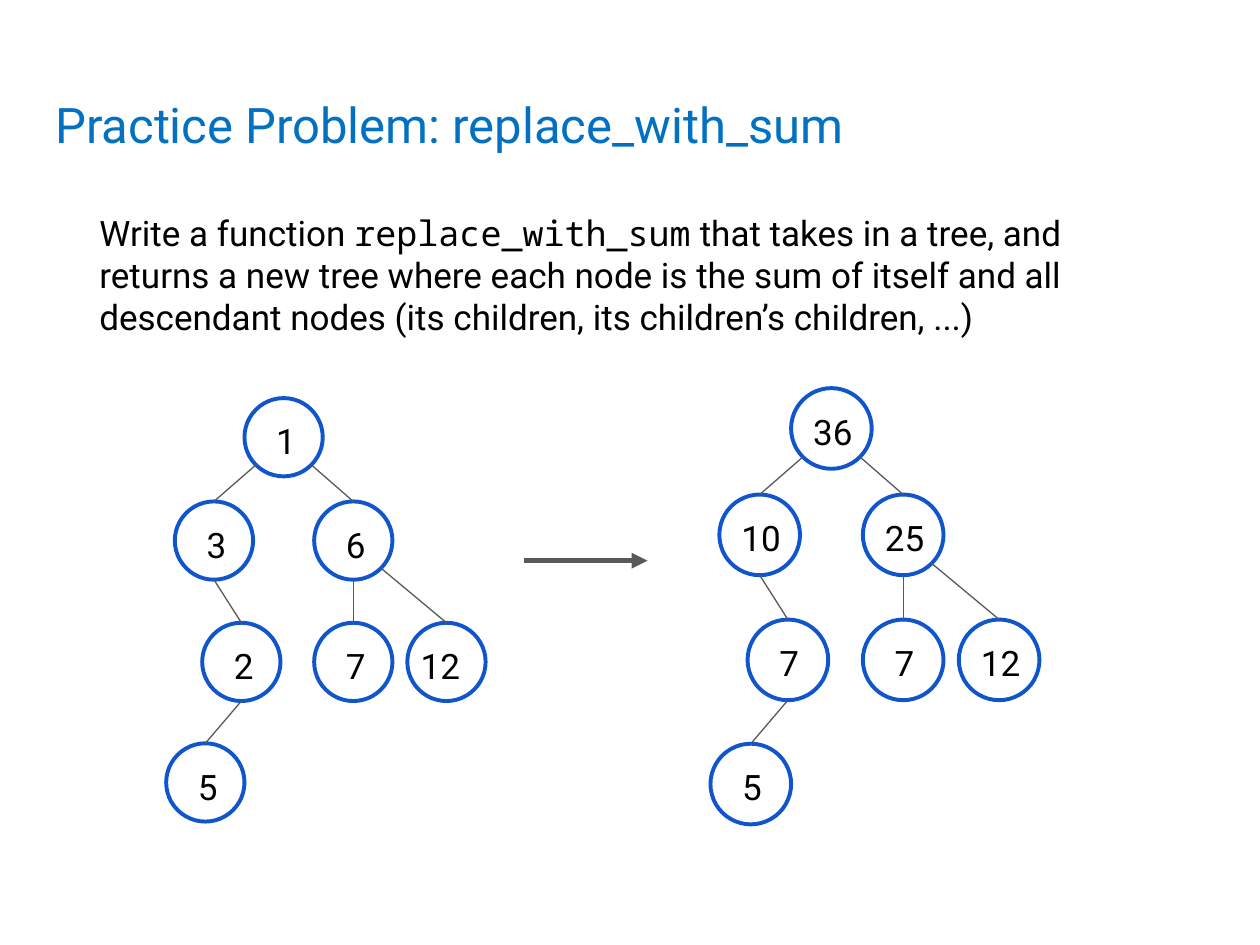
import pptx
import pptx.util
import pptx.dml.color
import pptx.enum.shapes
import pptx.enum.text
import lxml.etree

Pt = pptx.util.Pt
KIND = pptx.enum.shapes
NS = "{http://schemas.openxmlformats.org/drawingml/2006/main}"
SPOTS = [(1, 0), (0.11, 1.32), (1.89, 1.32), (3.08, 2.87),
         (1.89, 2.87), (0.46, 2.87), (0, 4.41)]
EDGES = [(0, 1, -1), (0, 2, 1), (1, 5, 0), (2, 4, 0), (2, 3, 1), (5, 6, 0)]


def paint(color, code):
    color.rgb = pptx.dml.color.RGBColor.from_string(code)


def write(slide, box, runs, size, code):
    frame = slide.shapes.add_textbox(*map(Pt, box)).text_frame
    frame.word_wrap = True
    frame.vertical_anchor = pptx.enum.text.MSO_ANCHOR.TOP
    frame.margin_left = frame.margin_right = Pt(7.2)
    frame.margin_top = frame.margin_bottom = Pt(7.2)
    para = frame.paragraphs[0]
    para.font.size = Pt(size)
    para.font.name = "Roboto"
    paint(para.font.color, code)
    for text, font in runs:
        run = para.add_run()
        run.text = text
        if font:
            run.font.name = font


def join(slide, start, end, width):
    line = slide.shapes.add_connector(
        KIND.MSO_CONNECTOR.STRAIGHT, *map(Pt, (*start, *end)))
    paint(line.line.color, "595959")
    line.line.width = Pt(width)
    lxml.etree.SubElement(line._element.spPr, NS + "effectLst")
    return line


def node(slide, box, text, nudge):
    left, top, size, _ = box
    disc = slide.shapes.add_shape(KIND.MSO_SHAPE.OVAL, *map(Pt, box))
    disc.shadow.inherit = False
    disc.fill.solid()
    paint(disc.fill.fore_color, "FFFFFF")
    paint(disc.line.color, "1155CC")
    disc.line.width = Pt(2.25)
    inset, width = (11, 23) if len(text) == 1 else (5.5, 43)
    write(slide, (left + inset + nudge, top + 5.3, width, 27.5),
          [(text, None)], 20, "000000")


def tree(slide, box, labels, nudges):
    left, top, width, _ = box
    size = width / 4.08
    spots = [(left + x * size, top + y * size) for x, y in SPOTS]
    for index, (x, y) in enumerate(spots):
        node(slide, (x, y, size, size), labels[index], nudges.get(index, 0))
    for parent, child, side in EDGES:
        x, y = spots[parent]
        drop = 0.85 if side else 1
        end = spots[child]
        join(slide, (x + (0.5 + 0.35 * side) * size, y + drop * size),
             (end[0] + size / 2, end[1]), 0.75)


def arrow(slide, box):
    left, top, width, _ = box
    line = join(slide, (left, top), (left + width, top), 3)
    lxml.etree.SubElement(line.line._get_or_add_ln(), NS + "tailEnd",
                          type="triangle")


def main():
    deck = pptx.Presentation()
    deck.slide_width, deck.slide_height = Pt(720), Pt(540)
    slide = deck.slides.add_slide(deck.slide_layouts[6])
    write(slide, (24.5, 47, 671, 60),
          [("Practice Problem: replace_with_sum", None)], 28, "0371C1")
    write(slide, (49.7, 113.8, 602, 72), [
        ("Write a function ", None),
        ("replace_with_sum", "Noto Sans Mono"),
        (" that takes in a tree, and returns a new tree where each node is "
         "the sum of itself and all descendant nodes (its children, its "
         "children’s children, ...)", None)], 20, "000000")
    tree(slide, (95, 227.5, 182.5, 242),
         ["1", "3", "6", "12", "7", "2", "5"], {3: -5})
    tree(slide, (406, 221.8, 188, 248),
         ["36", "10", "25", "12", "7", "7", "5"], {})
    arrow(slide, (299.5, 320.4, 70.5, 0))
    deck.save("out.pptx")


if __name__ == "__main__":
    main()
